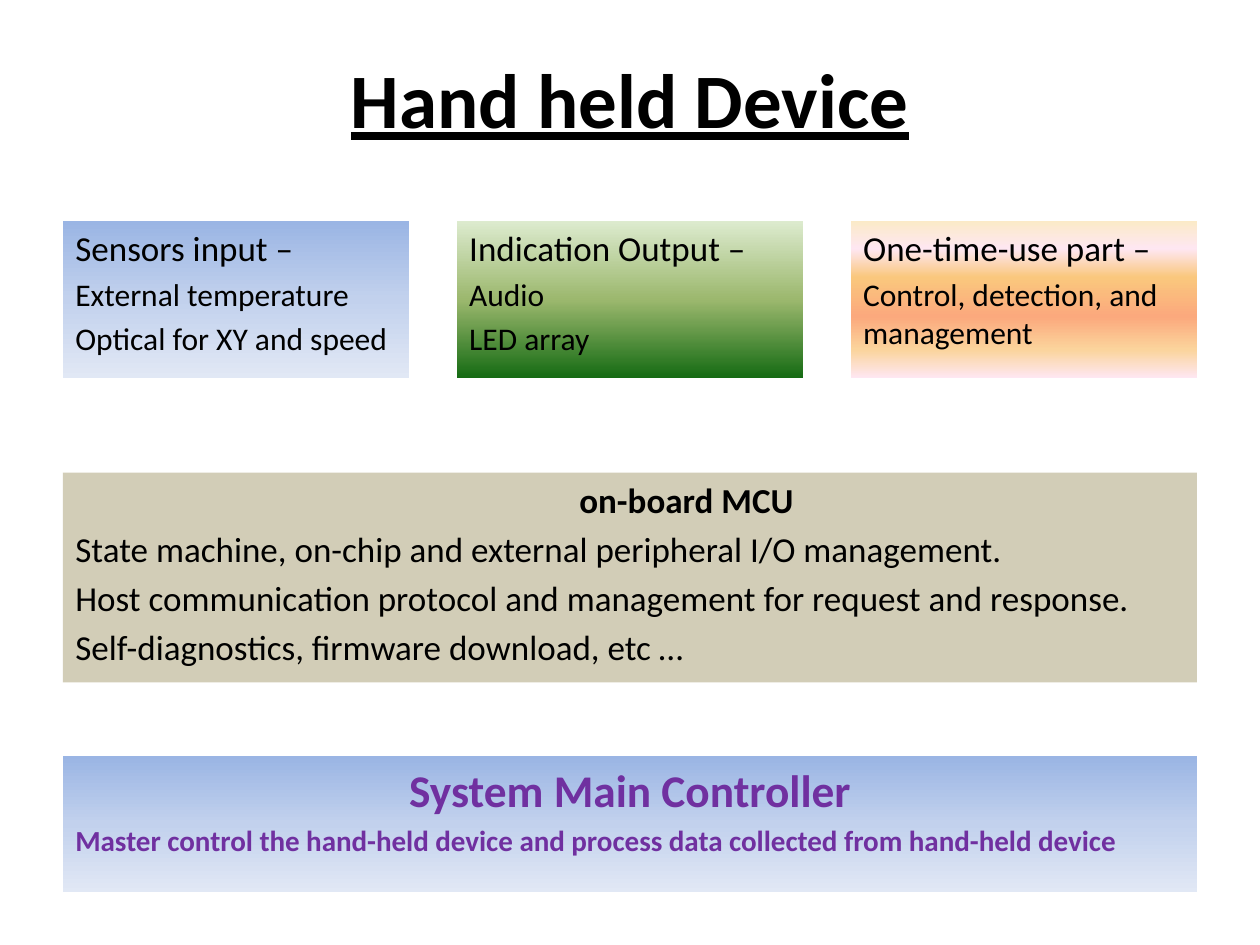
from dataclasses import dataclass

import lxml.etree
import pptx
import pptx.dml.color
import pptx.enum.shapes
import pptx.enum.text
import pptx.oxml.ns
import pptx.util

Cm = pptx.util.Cm
ALIGN = pptx.enum.text.PP_ALIGN
qn = pptx.oxml.ns.qn


@dataclass(frozen=True)
class Theme:
    font: str = "Calibri"
    text: str = "000000"
    accent: str = "7030A0"
    khaki: str = "948A54"
    khaki_opacity: int = 42
    blue: tuple = ((0, "9AB5E4"), (50, "C2D1ED"), (100, "E1E8F5"))
    green: tuple = ((0, "DDEBCF"), (50, "9CB86E"), (100, "156B13"))
    orange: tuple = ((0, "FBEAC7"), (18, "FEE7F2"), (36, "FAC77D"),
                     (61, "FBA97D"), (82, "FBD49C"), (100, "FEE7F2"))
    title_size: float = 44
    heading_size: float = 20
    detail_size: float = 18
    controller_size: float = 25.9
    controller_detail_size: float = 16.6
    space_before_percent: int = 20


THEME = Theme()


@dataclass(frozen=True)
class Line:
    text: str
    size: float = THEME.heading_size
    color: str = THEME.text
    bold: bool = False
    underline: bool = False
    align: ALIGN = ALIGN.LEFT
    indent: float = 0


@dataclass(frozen=True)
class Block:
    left: float
    top: float
    width: float
    height: float
    lines: tuple[Line, ...]
    gradient: tuple = ()


def write_lines(text_frame, lines: tuple[Line, ...]) -> None:
    text_frame.word_wrap = True
    for index, line in enumerate(lines):
        paragraph = text_frame.paragraphs[0] if index == 0 else text_frame.add_paragraph()
        paragraph.alignment = line.align
        properties = paragraph._p.get_or_add_pPr()
        if line.indent:
            properties.set("marL", str(Cm(line.indent)))
        # Spacing relative to the line height has no public setter
        spacing = lxml.etree.SubElement(properties, qn("a:spcBef"))
        lxml.etree.SubElement(spacing, qn("a:spcPct"),
                              val=str(THEME.space_before_percent * 1000))
        run = paragraph.add_run()
        run.text = line.text
        run.font.name = THEME.font
        run.font.size = pptx.util.Pt(line.size)
        run.font.bold = line.bold
        run.font.underline = line.underline
        run.font.color.rgb = pptx.dml.color.RGBColor.from_string(line.color)


def fill_gradient(shape, stops: tuple) -> None:
    """Fill from top to bottom with (percent, colour) stops."""
    shape.fill.gradient()
    shape.fill.gradient_angle = 270
    stop_list = shape._element.spPr.find(".//" + qn("a:gsLst"))
    for old_stop in list(stop_list):
        stop_list.remove(old_stop)
    for percent, color in stops:
        stop = lxml.etree.SubElement(stop_list, qn("a:gs"), pos=str(percent * 1000))
        lxml.etree.SubElement(stop, qn("a:srgbClr"), val=color)


def fill_translucent(shape, color: str, opacity: int) -> None:
    shape.fill.solid()
    shape.fill.fore_color.rgb = pptx.dml.color.RGBColor.from_string(color)
    color_element = shape._element.spPr.find(".//" + qn("a:srgbClr"))
    lxml.etree.SubElement(color_element, qn("a:alpha"), val=str(opacity * 1000))


def add_block(slide, block: Block) -> None:
    shape = slide.shapes.add_shape(
        pptx.enum.shapes.MSO_SHAPE.RECTANGLE,
        Cm(block.left), Cm(block.top), Cm(block.width), Cm(block.height))
    shape.shadow.inherit = False
    shape.line.fill.background()
    if block.gradient:
        fill_gradient(shape, block.gradient)
    else:
        fill_translucent(shape, THEME.khaki, THEME.khaki_opacity)
    shape.text_frame.vertical_anchor = pptx.enum.text.MSO_ANCHOR.TOP
    write_lines(shape.text_frame, block.lines)


def add_title(slide, left: float, width: float) -> None:
    title = slide.shapes.add_textbox(Cm(left), Cm(0.76), Cm(width), Cm(2.41))
    title.text_frame.vertical_anchor = pptx.enum.text.MSO_ANCHOR.MIDDLE
    write_lines(title.text_frame, (
        Line("Hand held Device", THEME.title_size, bold=True, underline=True,
             align=ALIGN.CENTER),))


def main() -> None:
    presentation = pptx.Presentation()
    presentation.slide_width, presentation.slide_height = Cm(25.4), Cm(19.05)
    slide = presentation.slides.add_slide(presentation.slide_layouts[6])

    margin, full_width = 1.27, 22.86
    add_title(slide, margin, full_width)

    parts = (
        (THEME.blue, "Sensors input –",
         ("External temperature", "Optical for XY and speed")),
        (THEME.green, "Indication Output –", ("Audio", "LED array")),
        (THEME.orange, "One-time-use part –",
         ("Control, detection, and management",)),
    )
    part_width = 6.98
    part_step = (full_width - part_width) / (len(parts) - 1)
    for index, (gradient, heading, details) in enumerate(parts):
        lines = (Line(heading), *(Line(text, THEME.detail_size) for text in details))
        add_block(slide, Block(margin + index * part_step, 4.45, part_width, 3.17,
                               lines, gradient))

    add_block(slide, Block(margin, 9.53, full_width, 4.23, (
        Line("on-board MCU", bold=True, indent=10.16),
        Line("State machine, on-chip and external peripheral I/O management."),
        Line("Host communication protocol and management for request and response."),
        Line("Self-diagnostics, firmware download, etc …"),
    )))
    add_block(slide, Block(margin, 15.24, full_width, 2.74, (
        Line("System Main Controller", THEME.controller_size, THEME.accent,
             bold=True, align=ALIGN.CENTER),
        Line("Master control the hand-held device and process data collected "
             "from hand-held device",
             THEME.controller_detail_size, THEME.accent, bold=True),
    ), THEME.blue))

    presentation.save("out.pptx")


if __name__ == "__main__":
    main()
